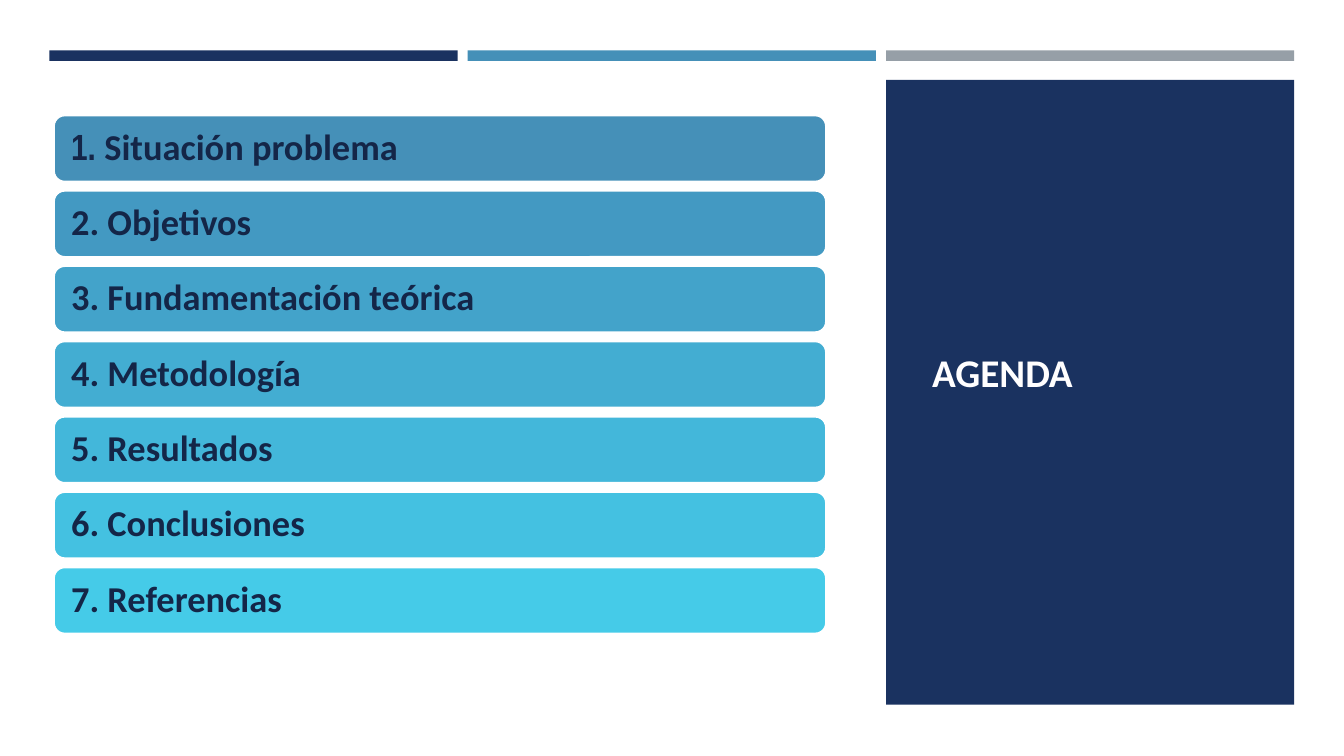
from pptx import Presentation
from pptx.dml.color import RGBColor
from pptx.enum.shapes import MSO_SHAPE as Shape
from pptx.enum.text import MSO_ANCHOR as Anchor, PP_ALIGN as Align
from pptx.util import Pt

COLORS = {
    "navy": "1A3260", "blue": "4590B8", "gray": "969FA7",
    "white": "FFFFFF", "title": "FFFEFF", "ink": "142648",
}
AGENDA = [
    (("1. ", "Situación problema"), "4590B8"),
    (("2. Objetivos",), "4399C2"),
    (("3. Fundamentación teórica",), "43A3CA"),
    (("4. Metodología",), "43ADD2"),
    (("5. Resultados",), "43B7DA"),
    (("6. Conclusiones",), "44C1E1"),
    (("7. Referencias",), "45CBE8"),
]


class SlideBuilder:
    font = "Calibri"
    number_font = "Arial Narrow"

    def __init__(self, slide):
        self.slide = slide

    def block(self, x, y, w, h, fill, kind=Shape.RECTANGLE, line=None):
        sp = self.slide.shapes.add_shape(kind, Pt(x), Pt(y), Pt(w), Pt(h))
        sp.shadow.inherit = False
        sp.fill.solid()
        sp.fill.fore_color.rgb = RGBColor.from_string(fill)
        if line:
            sp.line.color.rgb = RGBColor.from_string(line)
            sp.line.width = Pt(2)
        else:
            sp.line.fill.background()
        return sp

    def set_text(self, sp, parts, size, color):
        tf = sp.text_frame
        tf.word_wrap = True
        tf.vertical_anchor = Anchor.MIDDLE
        p = tf.paragraphs[0]
        p.alignment = Align.LEFT
        p.line_spacing = 0.9
        p.font.name = self.font
        p.font.size = Pt(size)
        p.font.bold = True
        p.font.color.rgb = RGBColor.from_string(color)
        for part in parts:
            p.add_run().text = part
        if len(parts) > 1:
            p.runs[0].font.name = self.number_font

    def item(self, x, y, w, h, parts, fill):
        sp = self.block(x, y, w, h, fill, Shape.ROUNDED_RECTANGLE, COLORS["white"])
        sp.text_frame.margin_left = sp.text_frame.margin_right = Pt(10.3)
        self.set_text(sp, parts, 26, COLORS["ink"])

    def title(self, x, y, w, h, text):
        sp = self.slide.shapes.add_textbox(Pt(x), Pt(y), Pt(w), Pt(h))
        self.set_text(sp, (text,), 28, COLORS["title"])


def main():
    prs = Presentation()
    prs.slide_width, prs.slide_height = Pt(960), Pt(540)
    s = SlideBuilder(prs.slides.add_slide(prs.slide_layouts[6]))

    left, column, pitch = 35.3, 291.6, 298.8
    for i, name in enumerate(("navy", "blue", "gray")):
        s.block(left + i * pitch, 36, column, 7.5, COLORS[name])

    s.block(left + 2 * pitch, 57, column, 446.3, COLORS["navy"])
    s.title(658.8, 82.1, 240.5, 370.8, "AGENDA")

    for i, (parts, fill) in enumerate(AGENDA):
        s.item(38.2, 82.1 + i * 53.8, 552.2, 48, parts, fill)

    prs.save("out.pptx")


if __name__ == "__main__":
    main()
